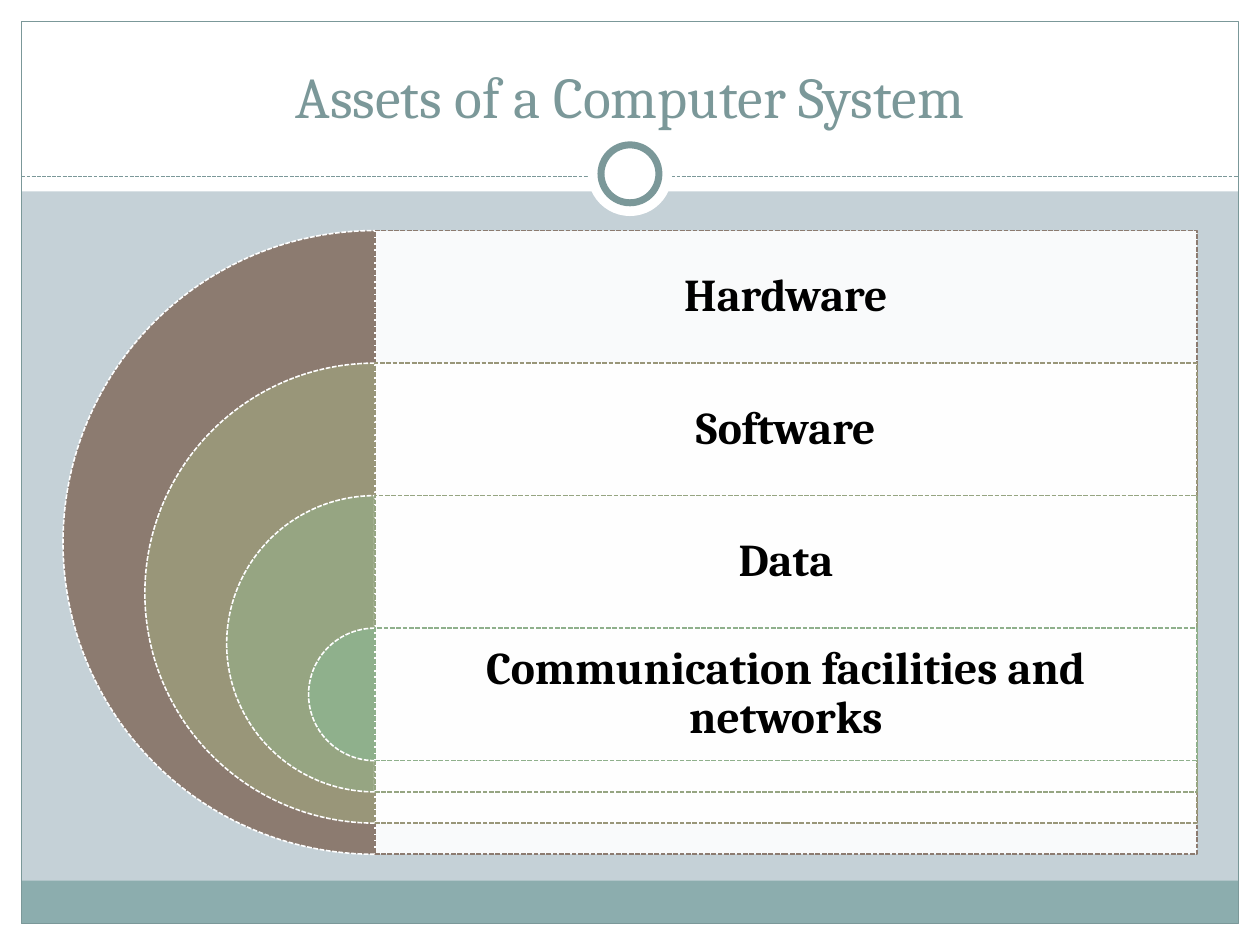
import dataclasses

import pptx
import pptx.dml.color
import pptx.enum.dml
import pptx.enum.shapes
import pptx.enum.text
import pptx.oxml.ns
import pptx.util
from lxml import etree

SHAPE = pptx.enum.shapes.MSO_SHAPE
ANCHOR = pptx.enum.text.MSO_ANCHOR
CENTER = pptx.enum.text.PP_ALIGN.CENTER
DASH = pptx.enum.dml.MSO_LINE.SQUARE_DOT
CELL = 0.1  # inches; the slide is a grid of 100 columns by 75 rows


@dataclasses.dataclass(frozen=True)
class Theme:
    font: str = "Cambria"
    title_size: float = 33
    label_size: float = 26
    white: str = "FFFFFF"
    black: str = "000000"
    background: str = "C5D1D7"
    accent: str = "7B9899"
    footer: str = "8CADAE"
    rings: tuple = ("8C7B70", "999679", "96A582", "8FB08C")
    thin: float = 0.75
    ring_line: float = 0.91
    badge_line: float = 4


@dataclasses.dataclass(frozen=True)
class Box:
    """A rectangle in grid columns and rows."""
    x: float
    y: float
    w: float
    h: float

    def inside(self, x, y, w, h):
        return Box(self.x + x, self.y + y, w, h)

    def emu(self):
        return [grid(v) for v in (self.x, self.y, self.w, self.h)]


THEME = Theme()


def grid(cells):
    return pptx.util.Inches(cells * CELL)


def rgb(color):
    return pptx.dml.color.RGBColor.from_string(color)


def set_line(line, color, width, dash=None):
    line.color.rgb = rgb(color)
    for name, value in {"width": pptx.util.Pt(width), "dash_style": dash}.items():
        setattr(line, name, value)


def add_shape(slide, kind, box, fill=None, line=None, alpha=None):
    """Add a preset shape; line holds colour, width and optional dash."""
    sp = slide.shapes.add_shape(kind, *box.emu())
    sp.shadow.inherit = False
    if fill:
        sp.fill.solid()
        sp.fill.fore_color.rgb = rgb(fill)
    else:
        sp.fill.background()
    if alpha:
        clr = sp._element.spPr.find(".//" + pptx.oxml.ns.qn("a:srgbClr"))
        etree.SubElement(clr, pptx.oxml.ns.qn("a:alpha"), val=str(alpha * 1000))
    if line:
        set_line(sp.line, *line)
    else:
        sp.line.fill.background()
    return sp


def add_text(slide, box, text, inset, anchor, color, font, paragraph):
    """Add a text box; inset holds the side and the top and bottom margins."""
    tf = slide.shapes.add_textbox(*box.emu()).text_frame
    side, end = (grid(v) for v in inset)
    frame = {"word_wrap": True, "vertical_anchor": anchor, "margin_left": side,
             "margin_right": side, "margin_top": end, "margin_bottom": end}
    p = tf.paragraphs[0]
    r = p.add_run()
    r.text = text
    r.font.color.rgb = rgb(color)
    for target, values in ((tf, frame), (p, paragraph), (r.font, font)):
        for name, value in values.items():
            setattr(target, name, value)


def add_frame(slide, box):
    """White margins, footer band and thin border around the slide."""
    m = 1.7
    margins = (box.inside(0, box.h - m, box.w, m), box.inside(0, 0, box.w, 15.2),
               box.inside(0, 0, m, box.h), box.inside(box.w - m, 0, m, box.h))
    for margin in margins:
        add_shape(slide, SHAPE.RECTANGLE, margin, THEME.white)
    inner = box.inside(m, m, box.w - 2 * m, box.h - 2 * m)
    add_shape(slide, SHAPE.RECTANGLE, inner.inside(0, inner.h - 3.4, inner.w, 3.4), THEME.footer)
    add_shape(slide, SHAPE.RECTANGLE, inner, line=(THEME.accent, THEME.thin))
    return inner


def add_header(slide, box, title):
    """Title above a dashed rule with a round badge at its middle."""
    rule = box.y + box.h
    cxn = slide.shapes.add_connector(pptx.enum.shapes.MSO_CONNECTOR.STRAIGHT,
                                     grid(box.x), grid(rule), grid(box.x + box.w), grid(rule))
    set_line(cxn.line, THEME.accent, THEME.thin, DASH)
    etree.SubElement(cxn._element.spPr, pptx.oxml.ns.qn("a:effectLst"))
    for size, line in ((6.7, None), (4.6, (THEME.accent, THEME.badge_line))):
        disc = box.inside((box.w - size) / 2, box.h - 0.2 - size / 2, size, size)
        add_shape(slide, SHAPE.OVAL, disc, THEME.white, line)
    add_text(slide, box.inside(1.6, 0.8, box.w - 3.2, 8.3), title, (1, 0.5), ANCHOR.BOTTOM,
             THEME.accent, {"name": THEME.font, "size": pptx.util.Pt(THEME.title_size)},
             {"alignment": CENTER})


def add_nested_rings(slide, box, labels):
    """Half discs nested on a common axis, each with a labelled panel to its right."""
    band = 0.2125 * box.h
    shrink = (box.h - band) / (len(labels) - 1)
    axis = box.h / 2
    width = box.w - axis
    for i, (label, color) in enumerate(zip(labels, THEME.rings)):
        d, top = box.h - i * shrink, i * band
        half = add_shape(slide, SHAPE.PIE, box.inside(axis - d / 2, top, d, d), color,
                         (THEME.white, THEME.ring_line, DASH))
        half.adjustments[0], half.adjustments[1] = 54, 162  # 90 to 270 degrees
        add_shape(slide, SHAPE.RECTANGLE, box.inside(axis, top, width, d), THEME.white,
                  (color, THEME.ring_line, DASH), alpha=90)
        add_text(slide, box.inside(axis, top, width, band), label, (1.1, 1.1), ANCHOR.MIDDLE,
                 THEME.black,
                 {"name": THEME.font, "size": pptx.util.Pt(THEME.label_size), "bold": True},
                 {"alignment": CENTER, "line_spacing": 0.9, "space_after": pptx.util.Pt(11.4)})


def main():
    prs = pptx.Presentation()
    page = Box(0, 0, 100, 75)
    prs.slide_width, prs.slide_height = grid(page.w), grid(page.h)
    slide = prs.slides.add_slide(prs.slide_layouts[6])
    slide.background.fill.solid()
    slide.background.fill.fore_color.rgb = rgb(THEME.background)
    inner = add_frame(slide, page)
    add_header(slide, inner.inside(0, 0, inner.w, 12.3), "Assets of a Computer System")
    add_nested_rings(slide, page.inside(5, 18.3, 90, 49.5),
                     ("Hardware", "Software", "Data", "Communication facilities and networks"))
    prs.save("out.pptx")


if __name__ == "__main__":
    main()
